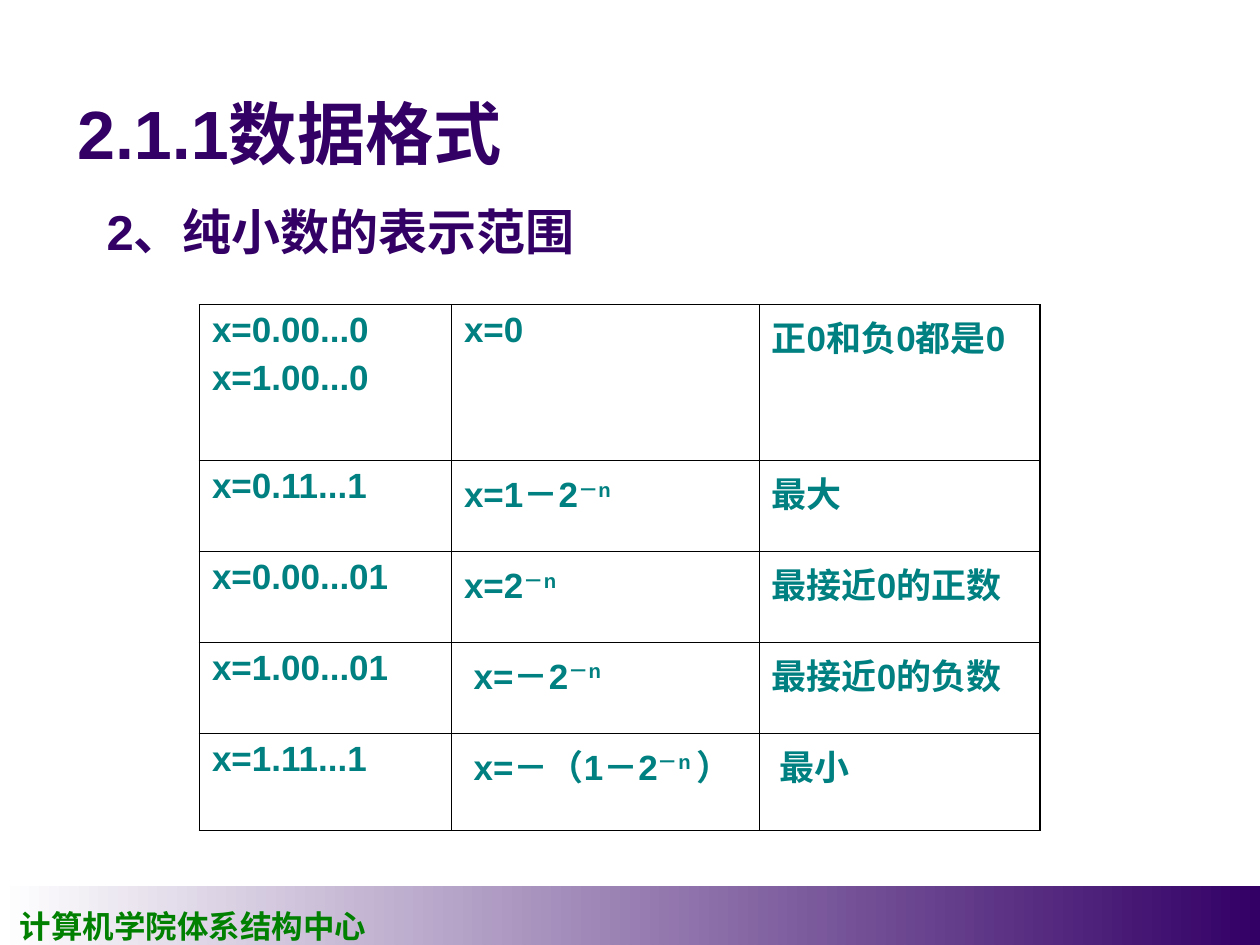
import lxml.etree
import pptx
import pptx.dml.color
import pptx.enum.shapes
import pptx.enum.text
import pptx.oxml.ns
import pptx.util

Cm = pptx.util.Cm
Pt = pptx.util.Pt

PURPLE, TEAL, GREEN, BLACK, WHITE = "330066", "008080", "008000", "000000", "FFFFFF"
THIN, THICK = 0.45, 1.08
COLUMN_WIDTHS = [5.08, 6.2, 5.66]
ROW_HEIGHTS = [3.15, 1.83, 1.83, 1.83, 1.96]
ROWS = [
    ["x=0.00...0\nx=1.00...0", "x=0", "正0和负0都是0"],
    ["x=0.11...1", "x=1－2^－n", "最大"],
    ["x=0.00...01", "x=2^－n", "最接近0的正数"],
    ["x=1.00...01", " x=－2^－n", "最接近0的负数"],
    ["x=1.11...1", " x=－（1－2^－n ^）", " 最小"],
]


def color(code):
    """Turn a hex string into a colour."""
    return pptx.dml.color.RGBColor.from_string(code)


def write(frame, text, size, code, font="Arial", before=0):
    """Write bold lines of text; each ^ switches superscript on or off."""
    for index, line in enumerate(text.split("\n")):
        para = frame.paragraphs[0] if index == 0 else frame.add_paragraph()
        para.alignment = pptx.enum.text.PP_ALIGN.LEFT
        para.space_before = Pt(before)
        for position, part in enumerate(line.split("^")):
            span = para.add_run()
            span.text = part
            span.font.size = Pt(size)
            span.font.name = font
            span.font.bold = True
            span.font.color.rgb = color(code)
            if position % 2:
                span._r.get_or_add_rPr().set("baseline", "30000")


def add_text(page, text, left, top, width, height, wrap=True, **style):
    """Add a text box."""
    box = page.shapes.add_textbox(Cm(left), Cm(top), Cm(width), Cm(height))
    box.text_frame.word_wrap = wrap
    write(box.text_frame, text, **style)


def add_title(page, text):
    """Move and fill the title placeholder."""
    title = page.shapes.title
    title.left, title.top, title.width, title.height = Cm(1.3), Cm(0), Cm(20.96), Cm(3.61)
    title.text_frame.auto_size = pptx.enum.text.MSO_AUTO_SIZE.NONE
    title.text_frame.vertical_anchor = pptx.enum.text.MSO_ANCHOR.BOTTOM
    write(title.text_frame, text, size=39, code=PURPLE)


def add_footer_band(page):
    """Add the gradient band along the bottom edge."""
    band = page.shapes.add_shape(
        pptx.enum.shapes.MSO_SHAPE.RECTANGLE, Cm(0), Cm(17.86), Cm(25.4), Cm(1.19)
    )
    band.shadow.inherit = False
    band.line.fill.background()
    band.fill.gradient()
    band.fill.gradient_angle = 0
    for stop, position, code in zip(band.fill.gradient_stops, (0, 1), (WHITE, PURPLE)):
        stop.position = position
        stop.color.rgb = color(code)


def set_borders(cell, widths):
    """Draw the four borders of a cell, given widths in points by side."""
    properties = cell._tc.get_or_add_tcPr()
    qn = pptx.oxml.ns.qn
    for side in "LRTB":
        line = lxml.etree.SubElement(properties, qn(f"a:ln{side}"), w=str(Pt(widths[side])))
        fill = lxml.etree.SubElement(line, qn("a:solidFill"))
        lxml.etree.SubElement(fill, qn("a:srgbClr"), val=BLACK)


def add_range_table(page):
    """Add the table of number ranges."""
    last_row, last_column = len(ROW_HEIGHTS) - 1, len(COLUMN_WIDTHS) - 1
    table = page.shapes.add_table(
        len(ROW_HEIGHTS), len(COLUMN_WIDTHS), Cm(4.02), Cm(6.14),
        Cm(sum(COLUMN_WIDTHS)), Cm(sum(ROW_HEIGHTS)),
    ).table
    table.first_row = table.horz_banding = False
    for column, width in zip(table.columns, COLUMN_WIDTHS):
        column.width = Cm(width)
    for row_index, (row, height) in enumerate(zip(table.rows, ROW_HEIGHTS)):
        row.height = Cm(height)
        for column_index, cell in enumerate(row.cells):
            set_borders(cell, {
                "L": THICK if column_index == 0 else THIN,
                "R": THICK if column_index == last_column else THIN,
                "T": THIN,
                "B": THICK if row_index == last_row else THIN,
            })
            cell.fill.background()
            write(cell.text_frame, ROWS[row_index][column_index], size=20, code=TEAL, before=5)


def main():
    """Build the slide and save it."""
    deck = pptx.Presentation()
    deck.slide_width, deck.slide_height = Cm(25.4), Cm(19.05)
    page = deck.slides.add_slide(deck.slide_layouts.get_by_name("Title Only"))
    add_footer_band(page)
    add_text(page, "计算机学院体系结构中心", 0.15, 18.16, 7.5, 1.02, wrap=False,
             size=18, code=GREEN, font="Times New Roman")
    add_title(page, "2.1.1数据格式")
    add_range_table(page)
    add_text(page, "2、纯小数的表示范围", 1.9, 3.94, 13.41, 1.45, size=28, code=PURPLE)
    deck.save("out.pptx")


if __name__ == "__main__":
    main()
